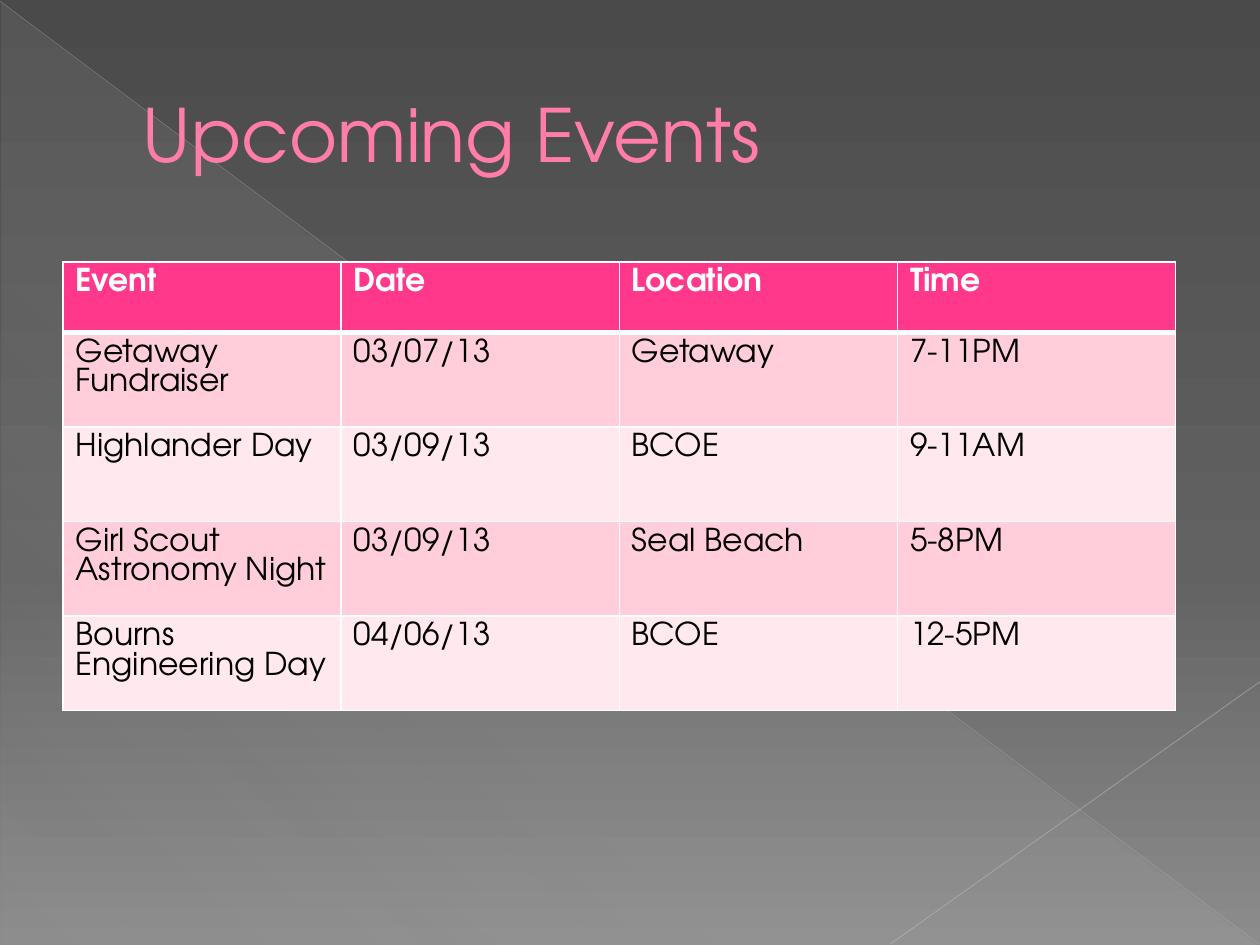
from lxml import etree
from pptx import Presentation
from pptx import util as u
from pptx.dml.color import RGBColor
from pptx.enum import shapes, text
from pptx.oxml.ns import qn

# Content
TITLE = "Upcoming Events"
EVENTS = [
    ("Event", "Date", "Location", "Time"),
    ("Getaway Fundraiser", "03/07/13", "Getaway", "7-11PM"),
    ("Highlander Day", "03/09/13", "BCOE", "9-11AM"),
    ("Girl Scout Astronomy Night", "03/09/13", "Seal Beach", "5-8PM"),
    ("Bourns Engineering Day", "04/06/13", "BCOE", "12-5PM"),
]

# Theme: gradient stops are (position %, colour, opacity %)
THEME = {
    "font": "TeX Gyre Adventor",
    "title_size": 42, "table_size": 18,
    "title": "FF7DA7", "title_edge": "B12761",
    "header": "FF388C", "bands": ("FFCEDA", "FFE8EE"),
    "header_text": "FFFFFF", "body_text": "000000",
    "border": "FFFFFF", "border_width": 1, "header_rule": 3,
    "background": [(0, "4A4A4A", 100), (60, "626262", 100), (100, "8C8C8C", 100)],
    "triangle": [(0, "D2D2D2", 10), (70, "D2D2D2", 8), (100, "D2D2D2", 1)],
}

# Layout in inches
WIDTH, HEIGHT = 10, 7.5
TRIANGLE = (0.01, 0.02, 9.98, 7.48)
DIAGONALS = [  # from, to, colour, width, opacity
    ((0, 0.01), (9.99, 7.49), "BFBFBF", 0.39, 35),
    ((10, 5.41), (7.07, 7.49), "C6C6C6", 0.47, 45),
]
TITLE_BOX = (0.5, 0.29, 9, 1.53)
TITLE_INDENT = 0.53
TABLE_LEFT, TABLE_TOP, TABLE_WIDTH = 0.5, 2.08, 8.83
HEADER_HEIGHT, ROW_HEIGHT = 0.56, 0.75


def inches(values):
    return [u.Inches(value) for value in values]


def add_color(parent, color, opacity=100):
    node = etree.SubElement(parent, qn("a:srgbClr"), val=color)
    if opacity < 100:
        etree.SubElement(node, qn("a:alpha"), val=str(opacity * 1000))


def add_solid(parent, color):
    add_color(etree.SubElement(parent, qn("a:solidFill")), color)


def set_gradient(holder, stops, angle):
    """Swap the holder's solid fill for a linear gradient."""
    gradient = etree.Element(qn("a:gradFill"), rotWithShape="1")
    stop_list = etree.SubElement(gradient, qn("a:gsLst"))
    for position, color, opacity in stops:
        stop = etree.SubElement(stop_list, qn("a:gs"), pos=str(position * 1000))
        add_color(stop, color, opacity)
    etree.SubElement(gradient, qn("a:lin"), ang=str(angle * 60000), scaled="0")
    holder.replace(holder.find(qn("a:solidFill")), gradient)


def style_span(span, size, color, bold=False):
    span.font.name = THEME["font"]
    span.font.size = u.Pt(size)
    span.font.bold = bold
    span.font.color.rgb = RGBColor.from_string(color)


def set_borders(cell, widths):
    properties = cell._tc.get_or_add_tcPr()
    for index, (side, width) in enumerate(widths.items()):
        line = etree.Element(qn(f"a:ln{side}"), w=str(u.Pt(width)))
        add_solid(line, THEME["border"])
        properties.insert(index, line)


def add_backdrop(page):
    page.background.fill.solid()
    set_gradient(page.element.find(".//" + qn("p:bgPr")), THEME["background"], 90)

    triangle = page.shapes.add_shape(
        shapes.MSO_SHAPE.RIGHT_TRIANGLE, *inches(TRIANGLE))
    triangle.shadow.inherit = False
    triangle.line.fill.background()
    triangle.fill.solid()
    set_gradient(triangle.element.spPr, THEME["triangle"], 133)

    for start, end, color, width, opacity in DIAGONALS:
        line = page.shapes.add_connector(
            shapes.MSO_CONNECTOR.STRAIGHT, *inches(start + end))
        line.line.width = u.Pt(width)
        line.line.color.rgb = RGBColor.from_string(color)
        properties = line.element.spPr
        tint = properties.find(".//" + qn("a:srgbClr"))
        etree.SubElement(tint, qn("a:alpha"), val=str(opacity * 1000))
        etree.SubElement(properties, qn("a:effectLst"))


def add_title(page):
    box = page.shapes.add_textbox(*inches(TITLE_BOX))
    frame = box.text_frame
    frame.word_wrap = True
    frame.vertical_anchor = text.MSO_ANCHOR.MIDDLE
    frame.text = TITLE
    para = frame.paragraphs[0]
    para._p.get_or_add_pPr().set("marL", str(u.Inches(TITLE_INDENT)))
    span = para.runs[0]
    style_span(span, THEME["title_size"], THEME["title"])
    edge = etree.Element(qn("a:ln"), w=str(u.Pt(0.5)))
    add_solid(edge, THEME["title_edge"])
    span._r.get_or_add_rPr().insert(0, edge)


def add_events(page):
    heights = [HEADER_HEIGHT] + [ROW_HEIGHT] * (len(EVENTS) - 1)
    table = page.shapes.add_table(
        len(EVENTS), len(EVENTS[0]),
        *inches((TABLE_LEFT, TABLE_TOP, TABLE_WIDTH, sum(heights)))).table
    table.horz_banding = False
    for column in table.columns:
        column.width = u.Inches(TABLE_WIDTH / len(EVENTS[0]))

    thin, thick = THEME["border_width"], THEME["header_rule"]
    for row, (values, height) in enumerate(zip(EVENTS, heights)):
        table.rows[row].height = u.Inches(height)
        header = row == 0
        fill = THEME["header"] if header else THEME["bands"][(row - 1) % 2]
        color = THEME["header_text"] if header else THEME["body_text"]
        borders = {"L": thin, "R": thin,
                   "T": thick if row == 1 else thin,
                   "B": thick if header else thin}
        for column, value in enumerate(values):
            cell = table.cell(row, column)
            cell.text = value
            style_span(cell.text_frame.paragraphs[0].runs[0],
                       THEME["table_size"], color, header)
            cell.fill.solid()
            cell.fill.fore_color.rgb = RGBColor.from_string(fill)
            set_borders(cell, borders)


def main():
    deck = Presentation()
    deck.slide_width, deck.slide_height = inches((WIDTH, HEIGHT))
    page = deck.slides.add_slide(deck.slide_layouts[6])
    add_backdrop(page)
    add_title(page)
    add_events(page)
    deck.save("out.pptx")


if __name__ == "__main__":
    main()
